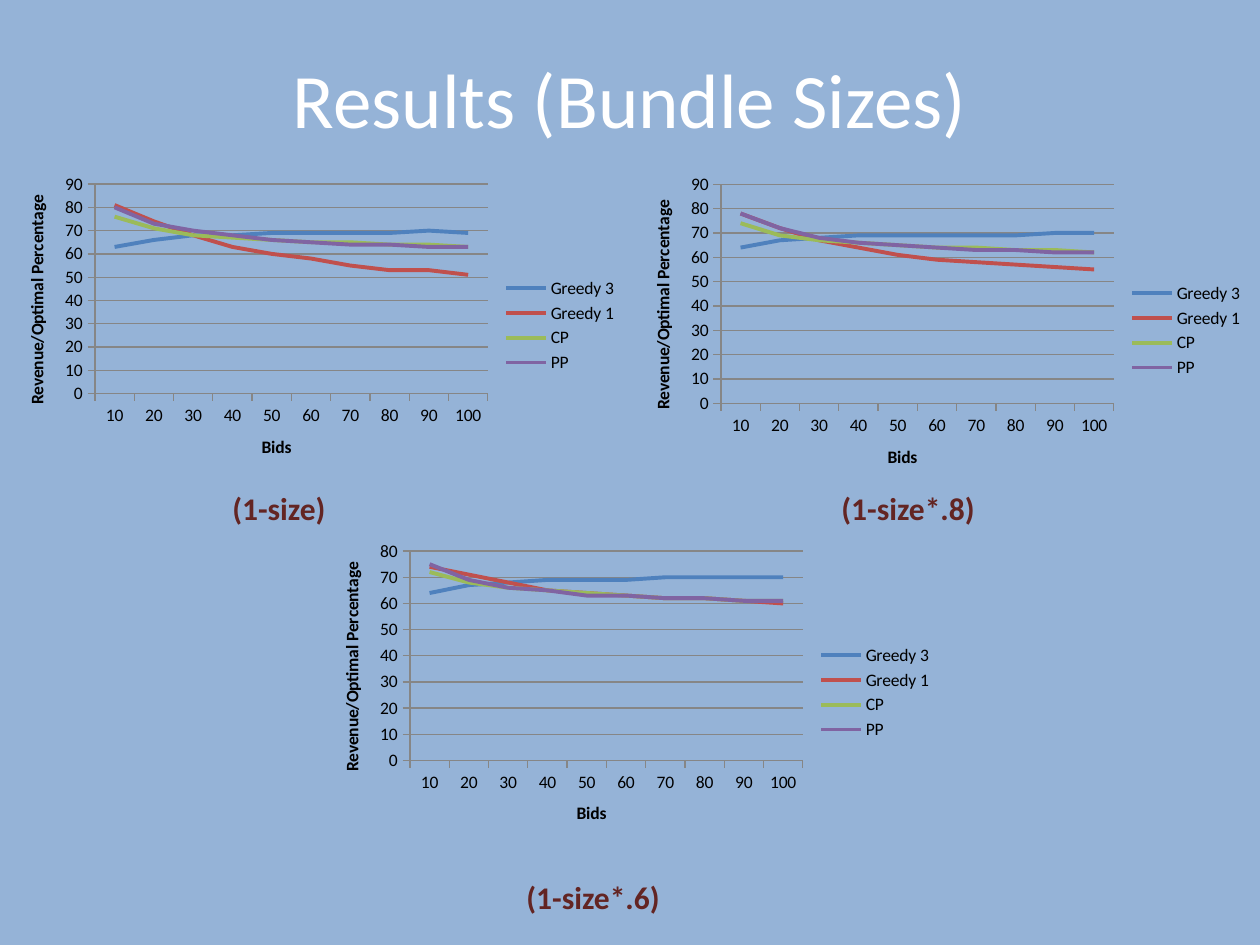
from dataclasses import dataclass

from pptx import Presentation
from pptx import util as u
from pptx.chart import data as cd
from pptx.dml.color import RGBColor
from pptx.enum import chart as ce, text as te

SCALE = 914400 / 126
FONT = "Calibri"
SKY = RGBColor(0x95, 0xB3, 0xD7)
WHITE = RGBColor(0xFF, 0xFF, 0xFF)
BLACK = RGBColor(0, 0, 0)
GRAY = RGBColor(0x86, 0x86, 0x86)
WINE = RGBColor(0x63, 0x25, 0x23)
BLUE = RGBColor(0x4F, 0x81, 0xBD)
RED = RGBColor(0xC0, 0x50, 0x4D)
GREEN = RGBColor(0x9B, 0xBB, 0x59)
PLUM = RGBColor(0x80, 0x64, 0xA2)

BIDS = [str(n) for n in range(10, 101, 10)]
LINES = {"Greedy 3": BLUE, "Greedy 1": RED, "CP": GREEN, "PP": PLUM}


@dataclass
class Box:
    x: int
    y: int
    w: int
    h: int

    def emu(self) -> list[u.Emu]:
        return [u.Emu(round(n * SCALE)) for n in (self.x, self.y, self.w, self.h)]


@dataclass
class Plot:
    box: Box
    top: int
    rows: list[list[int]]
    label: str
    place: Box


PLOTS = [
    Plot(Box(0, 168, 630, 315), 90, [
        [63, 66, 68, 68, 69, 69, 69, 69, 70, 69],
        [81, 74, 68, 63, 60, 58, 55, 53, 53, 51],
        [76, 71, 68, 67, 66, 65, 65, 64, 64, 63],
        [80, 73, 70, 68, 66, 65, 64, 64, 63, 63],
    ], "(1-size)", Box(220, 483, 126, 51)),
    Plot(Box(626, 168, 630, 325), 90, [
        [64, 67, 68, 69, 69, 69, 69, 69, 70, 70],
        [78, 72, 67, 64, 61, 59, 58, 57, 56, 55],
        [74, 69, 67, 66, 65, 64, 64, 63, 63, 62],
        [78, 72, 68, 66, 65, 64, 63, 63, 62, 62],
    ], "(1-size*.8)", Box(829, 483, 168, 51)),
    Plot(Box(315, 535, 630, 315), 80, [
        [64, 67, 68, 69, 69, 69, 70, 70, 70, 70],
        [74, 71, 68, 65, 64, 63, 62, 62, 61, 60],
        [72, 68, 66, 65, 64, 63, 62, 62, 61, 61],
        [75, 69, 66, 65, 63, 63, 62, 62, 61, 61],
    ], "(1-size*.6)", Box(514, 872, 168, 51)),
]


def style(font, size: float, color: RGBColor, bold: bool = False) -> None:
    font.name = FONT
    font.size = u.Pt(size)
    font.bold = bold
    font.color.rgb = color


def write(slide, words: str, box: Box, *, size: float, color: RGBColor,
          bold: bool = False, align=te.PP_ALIGN.LEFT,
          anchor=te.MSO_ANCHOR.TOP) -> None:
    frame = slide.shapes.add_textbox(*box.emu()).text_frame
    frame.word_wrap = True
    frame.vertical_anchor = anchor
    par = frame.paragraphs[0]
    par.alignment = align
    run = par.add_run()
    run.text = words
    style(run.font, size, color, bold)


def trim(axis, title: str) -> None:
    frame = axis.axis_title.text_frame
    frame.text = title
    style(frame.paragraphs[0].runs[0].font, 10, BLACK, True)
    axis.major_tick_mark = ce.XL_TICK_MARK.OUTSIDE
    axis.minor_tick_mark = ce.XL_TICK_MARK.NONE
    axis.format.line.color.rgb = GRAY
    axis.format.line.width = u.Pt(0.75)


def draw(slide, plot: Plot) -> None:
    data = cd.CategoryChartData()
    data.categories = BIDS
    for name, row in zip(LINES, plot.rows):
        data.add_series(name, row)
    chart = slide.shapes.add_chart(
        ce.XL_CHART_TYPE.LINE, *plot.box.emu(), data).chart
    style(chart.font, 10, BLACK)
    chart.has_title = False
    chart.has_legend = True
    chart.legend.position = ce.XL_LEGEND_POSITION.RIGHT
    chart.legend.include_in_layout = False
    chart.plots[0].vary_by_categories = False
    trim(chart.category_axis, "Bids")
    axis = chart.value_axis
    trim(axis, "Revenue/Optimal Percentage")
    axis.minimum_scale, axis.maximum_scale, axis.major_unit = 0, plot.top, 10
    axis.has_major_gridlines = True
    grid = axis.major_gridlines.format.line
    grid.color.rgb = GRAY
    grid.width = u.Pt(0.75)
    for line, color in zip(chart.plots[0].series, LINES.values()):
        line.smooth = False
        line.format.line.color.rgb = color
        line.format.line.width = u.Pt(2.25)
        line.marker.style = ce.XL_MARKER_STYLE.NONE


def main() -> None:
    deck = Presentation()
    deck.slide_width, deck.slide_height = u.Inches(10), u.Inches(7.5)
    slide = deck.slides.add_slide(deck.slide_layouts[6])
    slide.background.fill.solid()
    slide.background.fill.fore_color.rgb = SKY
    write(slide, "Results (Bundle Sizes)", Box(63, 38, 1134, 120), size=44,
          color=WHITE, align=te.PP_ALIGN.CENTER, anchor=te.MSO_ANCHOR.MIDDLE)
    for plot in PLOTS:
        draw(slide, plot)
    for plot in PLOTS:
        write(slide, plot.label, plot.place, size=18, color=WINE, bold=True)
    deck.save("out.pptx")


main()
